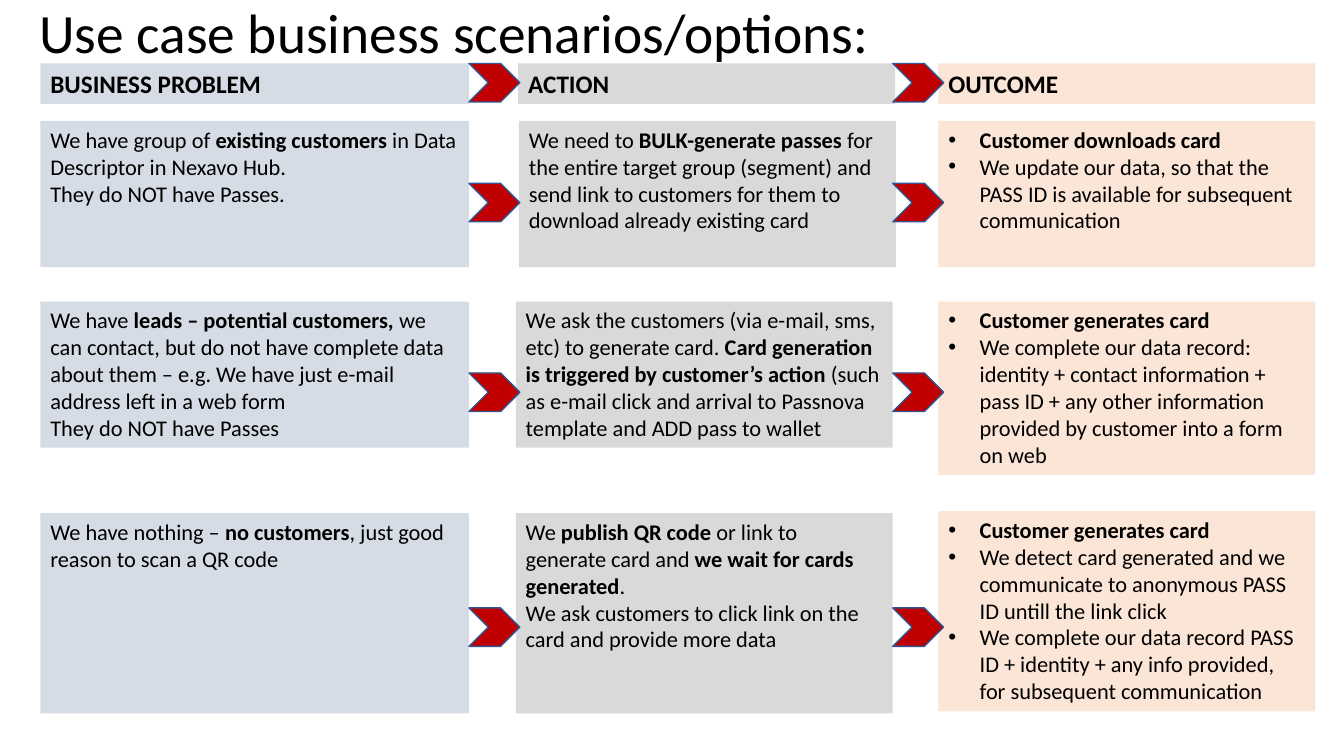
from dataclasses import dataclass

from lxml import etree
from pptx import Presentation
from pptx import util as u
from pptx.dml.color import RGBColor
from pptx.enum import shapes, text
from pptx.oxml.ns import qn


@dataclass(frozen=True)
class Theme:
    """Colours, font and type sizes of the slide."""
    font: str = "Calibri"
    ink: str = "000000"
    columns: tuple = ("D6DCE5", "D9D9D9", "FBE5D6")
    arrow: str = "C00000"
    arrow_edge: str = "325491"
    title: float = 39.6
    heading: float = 18
    body: float = 16


THEME = Theme()
WIDTHS = (10.8, 9.5, 9.5)
LEFTS = (1.02, 13.0, 23.65)
ARROW_LEFTS = (11.82, 22.5)
ARROW_SIZE = (1.28, 0.97)
HEADINGS = ("**BUSINESS PROBLEM**", "**ACTION**", "**OUTCOME**")

ROWS = [
    dict(tops=(1.6,) * 3, heights=(1.02,) * 3, action_shift=0.06, arrow_top=1.6,
         size=THEME.heading, bulleted=False, cells=[[h] for h in HEADINGS]),
    dict(tops=(3.05,) * 3, heights=(3.68,) * 3, action_shift=0.08, arrow_top=4.62,
         size=THEME.body, bulleted=True, cells=[
             ["We have group of **existing customers **in Data Descriptor in Nexavo Hub.",
              "They do NOT have Passes."],
             ["We need to **BULK-generate passes **for the entire target group (segment) "
              "and send link to customers for them to download already existing card"],
             ["**Customer downloads card**",
              "We update our data, so that the PASS ID is available for subsequent "
              "communication"]]),
    dict(tops=(7.6,) * 3, heights=(3.68, 3.68, 4.37), action_shift=0, arrow_top=9.4,
         size=THEME.body, bulleted=True, cells=[
             ["We have **leads – potential customers, **we can contact, but do not have "
              "complete data about them – e.g. We have just e-mail address left in a web form",
              "They do NOT have Passes"],
             ["We ask the customers (via e-mail, sms, etc) to generate card. **Card "
              "generation is triggered by customer’s action** (such as e-mail click and "
              "arrival to Passnova template and ADD pass to wallet"],
             ["**Customer generates card**",
              "We complete our data record: identity + contact information + pass ID + any "
              "other information provided by customer into a form on web"]]),
    dict(tops=(12.93, 12.93, 12.88), heights=(5.05,) * 3, action_shift=0, arrow_top=15.32,
         size=THEME.body, bulleted=True, cells=[
             ["We have nothing – **no customers**, just good reason to scan a QR code"],
             ["We **publish QR code **or link to generate card and **we wait for cards "
              "generated**.",
              "We ask customers to click link on the card and provide more data"],
             ["**Customer generates card**",
              "We detect card generated and we communicate to anonymous PASS ID untill the "
              "link click",
              "We complete our data record PASS ID + identity + any info provided, for "
              "subsequent communication"]]),
]


def set_all(target, **values):
    """Set each named attribute on the target."""
    for name, value in values.items():
        setattr(target, name, value)


def set_font(r, size, bold=False):
    """Apply the theme font to a run."""
    set_all(r.font, name=THEME.font, size=u.Pt(size), bold=bold)
    r.font.color.rgb = RGBColor.from_string(THEME.ink)


def add_bullet(p):
    """Give a paragraph a hanging round bullet."""
    pPr = p._p.get_or_add_pPr()
    pPr.set("marL", str(u.Cm(0.79)))
    pPr.set("indent", str(-u.Cm(0.79)))
    etree.SubElement(pPr, qn("a:buFont")).set("typeface", "Arial")
    etree.SubElement(pPr, qn("a:buChar")).set("char", "•")


def add_block(s, kind, box, fill, edge=None):
    """Draw a filled preset shape in a box given in centimetres."""
    sp = s.shapes.add_shape(kind, *map(u.Cm, box))
    sp.shadow.inherit = False
    sp.fill.solid()
    sp.fill.fore_color.rgb = RGBColor.from_string(fill)
    if edge:
        sp.line.color.rgb = RGBColor.from_string(edge)
        sp.line.width = u.Pt(1)
    else:
        sp.line.fill.background()
    return sp


def add_cell(s, box, fill, lines, size, bulleted):
    """Draw a text panel; double asterisks switch bold on and off."""
    tf = add_block(s, shapes.MSO_SHAPE.RECTANGLE, box, fill).text_frame
    set_all(tf, word_wrap=True, vertical_anchor=text.MSO_ANCHOR.TOP, margin_right=u.Cm(0.3))
    for i, line in enumerate(lines):
        p = tf.add_paragraph() if i else tf.paragraphs[0]
        p.alignment = text.PP_ALIGN.LEFT
        if bulleted:
            add_bullet(p)
        for j, part in enumerate(line.split("**")):
            if part:
                r = p.add_run()
                r.text = part
                set_font(r, size, bold=j % 2 == 1)


def add_row(s, row):
    """Draw one row of three panels joined by two chevrons."""
    for i, lines in enumerate(row["cells"]):
        left = LEFTS[i] + (row["action_shift"] if i == 1 else 0)
        box = (left, row["tops"][i], WIDTHS[i], row["heights"][i])
        add_cell(s, box, THEME.columns[i], lines, row["size"], row["bulleted"] and i == 2)
    for left in ARROW_LEFTS:
        add_block(s, shapes.MSO_SHAPE.CHEVRON, (left, row["arrow_top"], *ARROW_SIZE),
                  THEME.arrow, THEME.arrow_edge)


def add_title(s, box, words):
    """Place and format the title placeholder."""
    sp = s.shapes.title
    set_all(sp, **dict(zip(("left", "top", "width", "height"), map(u.Cm, box))))
    tf = sp.text_frame
    set_all(tf, word_wrap=True, auto_size=text.MSO_AUTO_SIZE.NONE,
            vertical_anchor=text.MSO_ANCHOR.MIDDLE)
    p = tf.paragraphs[0]
    set_all(p, alignment=text.PP_ALIGN.LEFT, line_spacing=0.9)
    r = p.add_run()
    r.text = words
    set_font(r, THEME.title)


def main():
    """Build and save the slide."""
    prs = Presentation()
    set_all(prs, slide_width=u.Cm(33.87), slide_height=u.Cm(19.05))
    s = prs.slides.add_slide(prs.slide_layouts[5])
    add_title(s, (0.74, 0.28, 29.21, 1.22), "Use case business scenarios/options:")
    for row in ROWS:
        add_row(s, row)
    prs.save("out.pptx")


if __name__ == "__main__":
    main()
